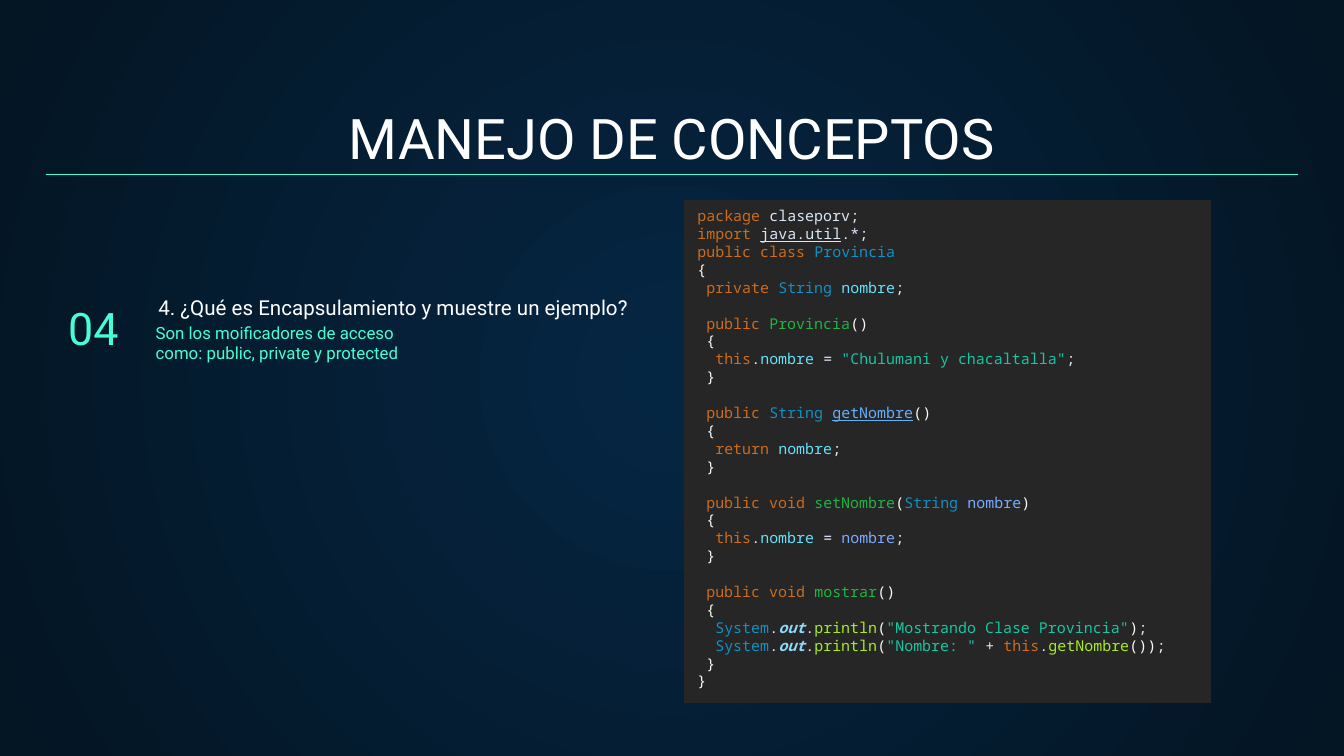
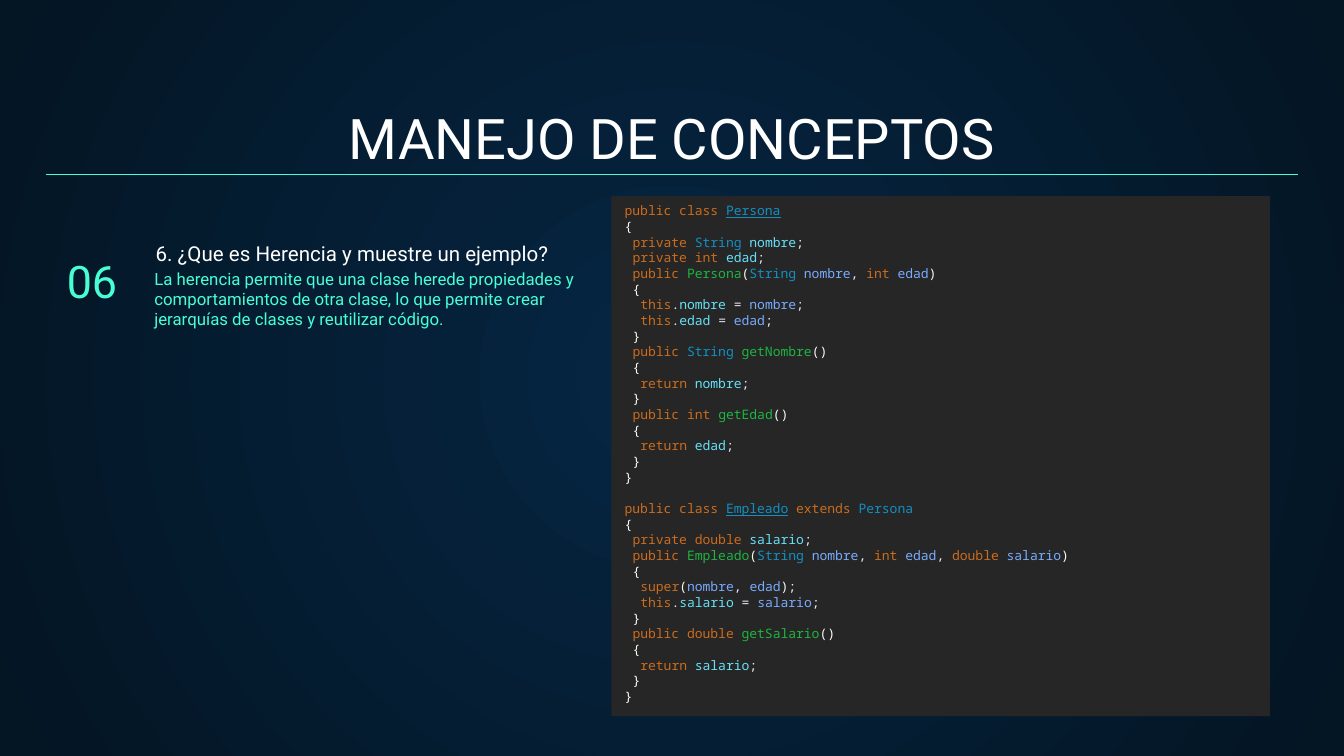
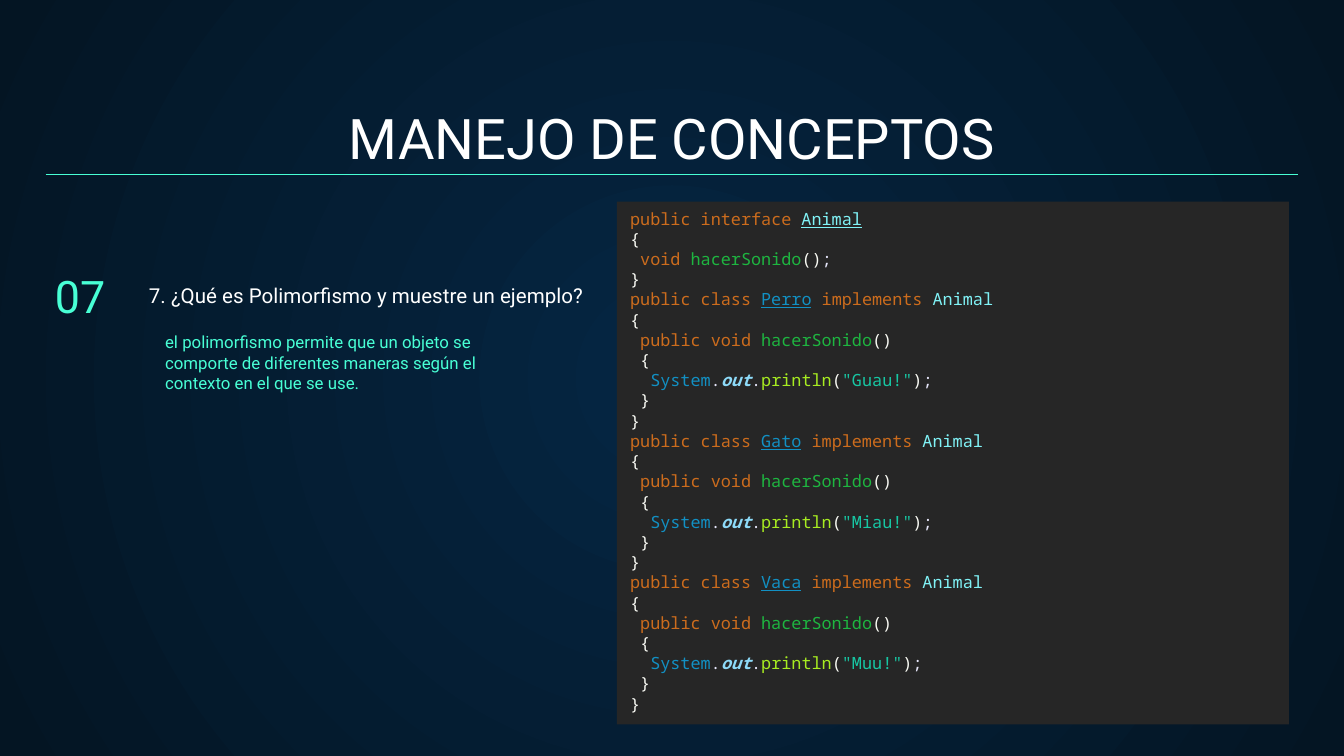
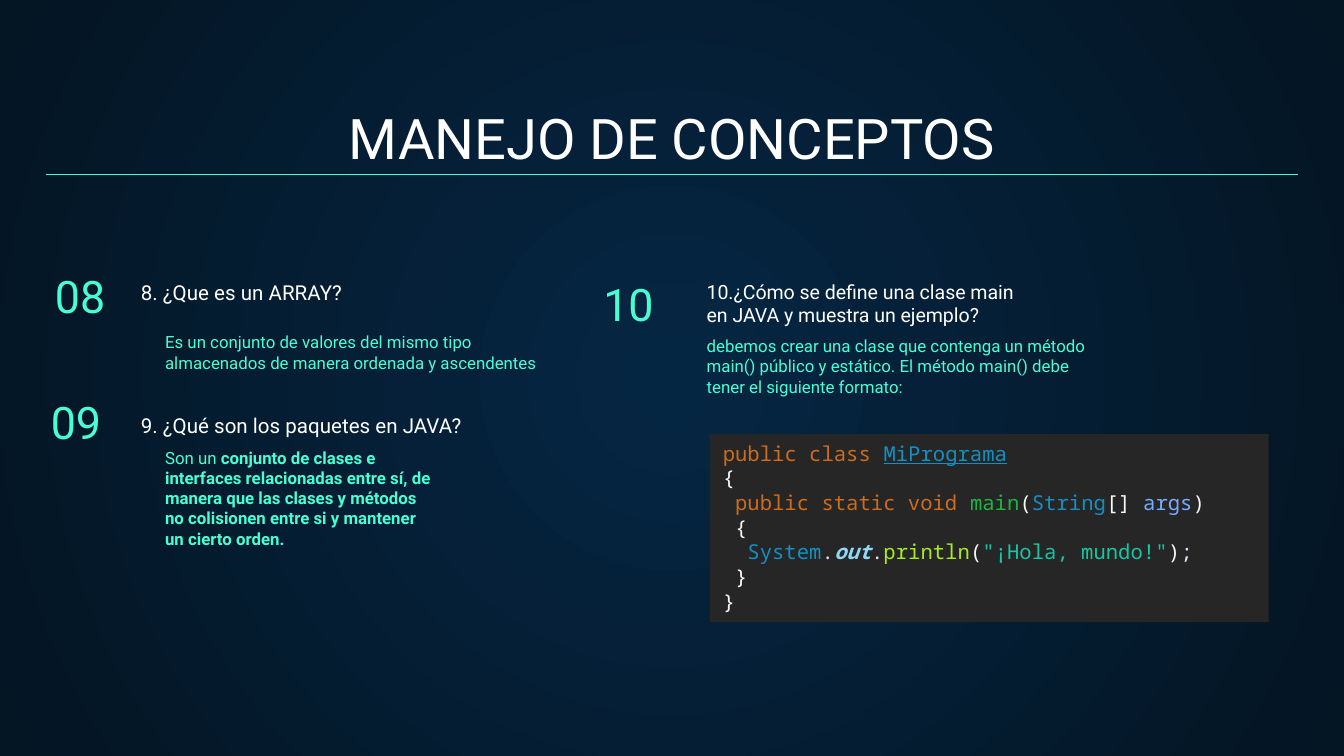
from lxml import etree
from pptx import Presentation
from pptx.dml.color import RGBColor
from pptx.enum.shapes import MSO_CONNECTOR, MSO_SHAPE
from pptx.enum.text import MSO_ANCHOR, MSO_AUTO_SIZE, PP_ALIGN
from pptx.oxml.ns import qn
from pptx.util import Inches, Pt

COLORS = {
    "center": "052643", "edge": "041523", "accent": "48FFD5",
    "white": "FFFFFF", "panel": "262626",
}
SYNTAX = {
    "keyword": "CC6C1D", "plain": "D9E8F7", "mark": "E6E6FA",
    "brace": "F9FAF4", "type": "1290C3", "field": "66E1F8",
    "method": "1EB540", "link": "66AFF9", "arg": "79ABFF",
    "string": "17C6A3", "call": "A7EC21", "static": "8DDAF8",
    "interface": "80F2F6",
}
TEXT_FONT, CODE_FONT = "Roboto", "Noto Sans Mono"
CHAR_WIDTH, LINE_HEIGHT = 0.6, 1.2
HEADING = "MANEJO DE CONCEPTOS"


def block(header, lines):
    """Return a header and its body, indented between braces."""
    return [header, "{", *(" " + line if line else "" for line in lines), "}"]


def getter(kind, field, name):
    """Return an accessor for a field."""
    return block(f"keyword:public |{kind}|{name}|()",
                 [f"keyword:return |field:{field}|mark:;"])


def assign(field, value):
    """Return an assignment to a field of this object."""
    return f"keyword:this|mark:.|field:{field} |mark:= |{value}|mark:;"


def println(value):
    """Return a call that prints a value."""
    return f"type:System|mark:.|static:out|mark:.|call:println|(|{value}|)|mark:;"


def animal_class(animal, sound):
    """Return a class that implements the animal interface."""
    speak = block("keyword:public void |method:hacerSonido|()",
                  [println(f'string:"{sound}"')])
    return block(f"keyword:public class |type_:{animal}|plain: |"
                 "keyword:implements |interface:Animal", speak)


PROVINCE = [
    "keyword:package |plain:claseporv|mark:;",
    "keyword:import |plain_:java|mark_:.|plain_:util|mark:.*;",
    *block("keyword:public class |type:Provincia", [
        "keyword:private |type:String |field:nombre|mark:;",
        "",
        *block("keyword:public |method:Provincia|()",
               [assign("nombre", 'string:"Chulumani y chacaltalla"')]),
        "",
        *getter("type:String ", "nombre", "link_:getNombre"),
        "",
        *block("keyword:public void |method:setNombre|(|type:String |arg:nombre|)",
               [assign("nombre", "arg:nombre")]),
        "",
        *block("keyword:public void |method:mostrar|()", [
            println('string:"Mostrando Clase Provincia"'),
            println('string:"Nombre: " |mark:+ |keyword:this|mark:.|'
                    "call:getNombre|()"),
        ]),
    ]),
]
PERSON_ARGS = "(|type:String |arg:nombre|mark:, |keyword:int |arg:edad"
INHERITANCE = [
    *block("keyword:public class |type_:Persona", [
        "keyword:private |type:String |field:nombre|mark:;",
        "keyword:private int |field:edad|mark:;",
        *block(f"keyword:public |method:Persona|{PERSON_ARGS}|)",
               [assign(field, f"arg:{field}") for field in ("nombre", "edad")]),
        *getter("type:String ", "nombre", "method:getNombre"),
        *getter("keyword:int ", "edad", "method:getEdad"),
    ]),
    "",
    *block("keyword:public class |type_:Empleado|plain: |"
           "keyword:extends |type:Persona", [
               "keyword:private double |field:salario|mark:;",
               *block(f"keyword:public |method:Empleado|{PERSON_ARGS}|mark:, |"
                      "keyword:double |arg:salario|)", [
                          "keyword:super|(|arg:nombre|mark:, |arg:edad|)|mark:;",
                          assign("salario", "arg:salario"),
                      ]),
               *getter("keyword:double ", "salario", "method:getSalario"),
           ]),
]
POLYMORPHISM = [
    *block("keyword:public interface |interface_:Animal",
           ["keyword:void |method:hacerSonido|()|mark:;"]),
    *animal_class("Perro", "Guau!"),
    *animal_class("Gato", "Miau!"),
    *animal_class("Vaca", "Muu!"),
]
MAIN_CLASS = block("keyword:public class |type_:MiPrograma", block(
    "keyword:public static void |method:main|(|type:String|[] |arg:args|)",
    [println('string:"¡Hola, mundo!"')]))


def add_run(paragraph, text, font, size, color, bold=False):
    """Add one formatted run and return it."""
    run = paragraph.add_run()
    run.text = text
    run.font.name, run.font.size, run.font.bold = font, Pt(size), bold
    run.font.color.rgb = RGBColor.from_string(color)
    return run


def format_frame(frame, anchor, inset):
    """Set wrapping, anchor and insets of a text frame."""
    frame.word_wrap = True
    frame.auto_size = MSO_AUTO_SIZE.NONE
    frame.vertical_anchor = anchor
    frame.margin_left = frame.margin_right = Inches(0.1)
    frame.margin_top = frame.margin_bottom = Inches(inset)


def add_label(slide, box, runs, size, color, anchor=MSO_ANCHOR.BOTTOM,
              align=PP_ALIGN.LEFT):
    """Add a text box made of (text, bold) runs."""
    frame = slide.shapes.add_textbox(*map(Inches, box)).text_frame
    format_frame(frame, anchor, 0.1)
    paragraph = frame.paragraphs[0]
    paragraph.alignment = align
    for text, bold in runs:
        add_run(paragraph, text, TEXT_FONT, size, COLORS[color], bold)


def add_number(slide, left, top, number, align=PP_ALIGN.LEFT):
    """Add the large number of a concept."""
    add_label(slide, (left, top, 1.29, 0.66), [(number, False)], 24, "accent",
              align=align)


def add_question(slide, box, question, size=11):
    """Add the question of a concept."""
    add_label(slide, box, [(question, False)], size, "white")


def add_answer(slide, box, answer, emphasis=""):
    """Add an answer, with an optional bold ending."""
    runs = [(answer, False)] + ([(emphasis, True)] if emphasis else [])
    add_label(slide, box, runs, 9, "accent", MSO_ANCHOR.TOP)


def add_code(slide, box, lines, size):
    """Add a dark panel with highlighted code."""
    panel = slide.shapes.add_shape(MSO_SHAPE.RECTANGLE, *map(Inches, box))
    panel.shadow.inherit = False
    panel.fill.solid()
    panel.fill.fore_color.rgb = RGBColor.from_string(COLORS["panel"])
    panel.line.fill.background()
    frame = panel.text_frame
    format_frame(frame, MSO_ANCHOR.TOP, 0.05)
    frame.auto_size = MSO_AUTO_SIZE.SHAPE_TO_FIT_TEXT
    for index, line in enumerate(lines):
        if not line:
            continue
        paragraph = frame.add_paragraph() if index else frame.paragraphs[0]
        paragraph.alignment = PP_ALIGN.LEFT
        if index and not lines[index - 1]:
            paragraph.space_before = Pt(size * LINE_HEIGHT)
        code = line.lstrip()
        indent = Pt((len(line) - len(code)) * size * CHAR_WIDTH)
        properties = paragraph._p.get_or_add_pPr()
        properties.set("marL", str(int(indent)))
        properties.set("indent", "0")
        for token in code.split("|"):
            key, colon, text = token.partition(":")
            style = key.rstrip("_") if colon else "brace"
            run = add_run(paragraph, text if colon else token, CODE_FONT, size,
                          SYNTAX[style], style == "static")
            run.font.italic = style == "static"
            run.font.underline = bool(colon) and key.endswith("_")


def set_background(master):
    """Give every slide the radial blue background."""
    fill = master.background.fill
    fill.gradient()
    for stop, name in zip(fill.gradient_stops, ("center", "edge")):
        stop.color.rgb = RGBColor.from_string(COLORS[name])
    gradient = master.element.find(".//" + qn("p:bgPr") + "/" + qn("a:gradFill"))
    linear = gradient.find(qn("a:lin"))
    radial = etree.Element(qn("a:path"), path="circle")
    etree.SubElement(radial, qn("a:fillToRect"),
                     {side: "50000" for side in "ltrb"})
    gradient.replace(linear, radial)


def add_concept_slide(prs):
    """Add a slide with the shared heading and rule."""
    slide = prs.slides.add_slide(prs.slide_layouts[5])
    title = slide.shapes.title
    title.left, title.top, title.width, title.height = map(
        Inches, (0.34, 0.71, 9.32, 0.66))
    format_frame(title.text_frame, MSO_ANCHOR.BOTTOM, 0.1)
    paragraph = title.text_frame.paragraphs[0]
    paragraph.alignment = PP_ALIGN.CENTER
    add_run(paragraph, HEADING, TEXT_FONT, 30, COLORS["white"])
    rule = slide.shapes.add_connector(
        MSO_CONNECTOR.STRAIGHT, *map(Inches, (0.34, 1.3, 9.66, 1.3)))
    rule.line.color.rgb = RGBColor.from_string(COLORS["accent"])
    rule.line.width = Pt(0.75)
    etree.SubElement(rule._element.spPr, qn("a:effectLst"))
    return slide


def build_encapsulation(prs):
    """Build the slide on encapsulation."""
    slide = add_concept_slide(prs)
    add_answer(slide, (1.06, 2.3, 2.07, 0.55),
               "Son los moificadores de acceso como: public, private y protected")
    add_number(slide, -0.31, 2.08, "04", PP_ALIGN.RIGHT)
    add_question(slide, (1.08, 2.06, 3.92, 0.42),
                 "4. ¿Qué es Encapsulamiento y muestre un ejemplo?")
    add_code(slide, (5.09, 1.49, 3.92, 3.74), PROVINCE, 8)


def build_inheritance(prs):
    """Build the slide on inheritance."""
    slide = add_concept_slide(prs)
    add_answer(slide, (1.05, 1.9, 3.5, 0.66),
               "La herencia permite que una clase herede propiedades y "
               "comportamientos de otra clase, lo que permite crear jerarquías "
               "de clases y reutilizar código.")
    add_number(slide, -0.32, 1.73, "06", PP_ALIGN.RIGHT)
    add_question(slide, (1.06, 1.66, 3.92, 0.42),
                 "6. ¿Que es Herencia y muestre un ejemplo?")
    add_code(slide, (4.55, 1.46, 4.9, 3.87), INHERITANCE, 7)


def build_polymorphism(prs):
    """Build the slide on polymorphism."""
    slide = add_concept_slide(prs)
    add_answer(slide, (1.13, 2.37, 3.01, 0.41),
               "el polimorfismo permite que un objeto se comporte de diferentes "
               "maneras según el contexto en el que se use.")
    add_number(slide, 0.31, 1.84, "07")
    add_question(slide, (1.01, 1.91, 3.55, 0.48),
                 "7. ¿Qué es Polimorfismo y muestre un ejemplo?")
    add_code(slide, (4.59, 1.5, 5, 3.89), POLYMORPHISM, 9)


def build_basics(prs):
    """Build the slide on arrays, packages and the main class."""
    slide = add_concept_slide(prs)
    add_answer(slide, (1.13, 2.37, 3.01, 0.41),
               "Es un conjunto de valores del mismo tipo almacenados de manera "
               "ordenada y ascendentes")
    add_answer(slide, (1.13, 3.23, 2.18, 0.5), "Son un ",
               "conjunto de clases e interfaces relacionadas entre sí, de manera "
               "que las clases y métodos no colisionen entre si y mantener un "
               "cierto orden.")
    for number, left, top in (("08", 0.31, 1.84), ("09", 0.28, 2.78),
                              ("10", 4.39, 1.9)):
        add_number(slide, left, top, number)
    add_question(slide, (0.95, 1.89, 3.55, 0.48), "8. ¿Que es un ARRAY?")
    add_question(slide, (0.95, 2.78, 4.26, 0.58),
                 "9. ¿Qué son los paquetes en JAVA?")
    add_question(slide, (5.16, 2.29, 2.66, 0.24),
                 "10.¿Cómo se define una clase main en JAVA y muestra un ejemplo?",
                 10.5)
    add_code(slide, (5.28, 3.23, 4.16, 1.4), MAIN_CLASS, 11)
    add_answer(slide, (5.16, 2.4, 3.01, 0.66),
               "debemos crear una clase que contenga un método main() público y "
               "estático. El método main() debe tener el siguiente formato:")


def main():
    """Build and save the presentation."""
    prs = Presentation()
    prs.slide_width = Inches(10)
    prs.slide_height = Inches(10 * 9 / 16)
    set_background(prs.slide_master)
    for build in (build_encapsulation, build_inheritance, build_polymorphism,
                  build_basics):
        build(prs)
    prs.save("out.pptx")


if __name__ == "__main__":
    main()
